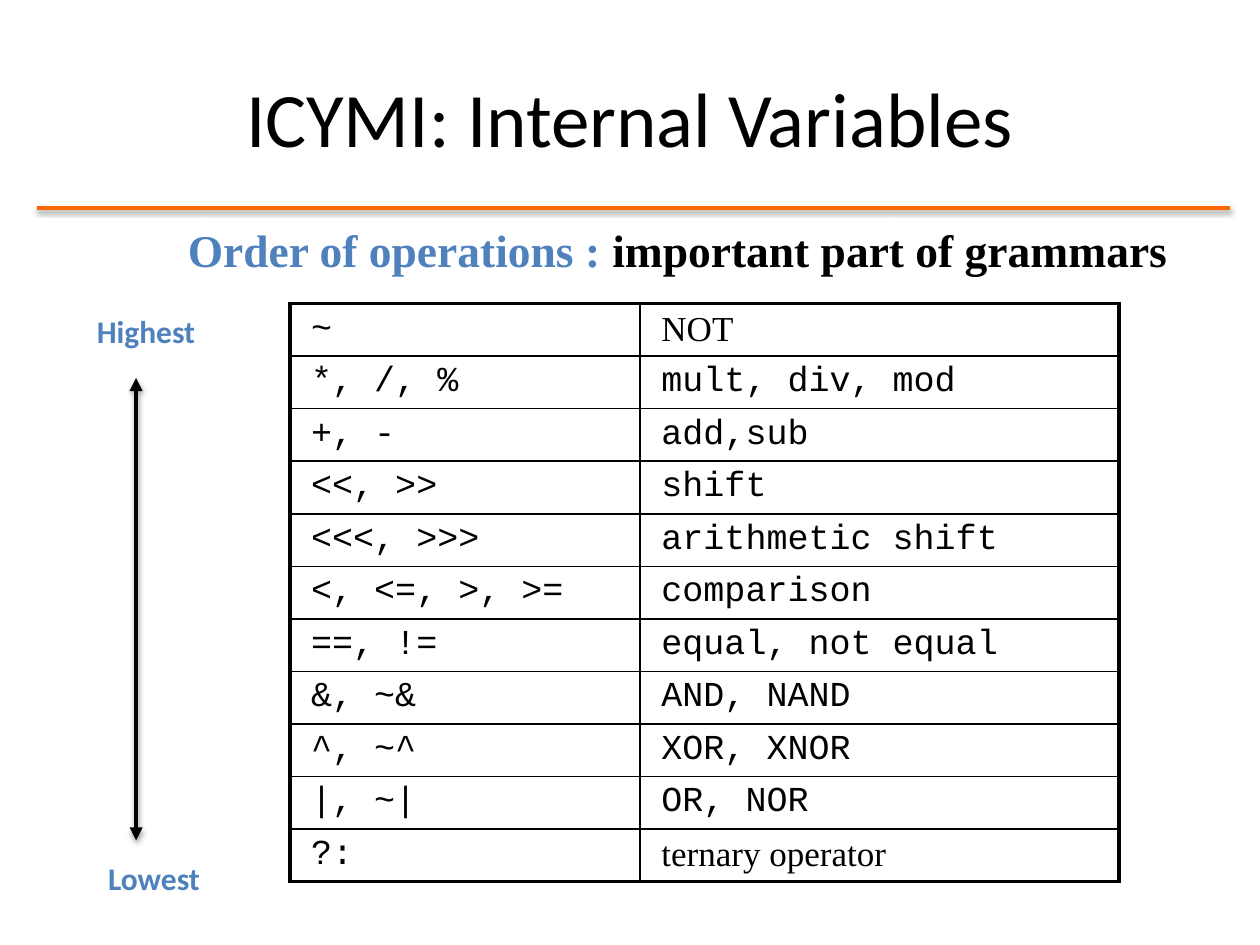
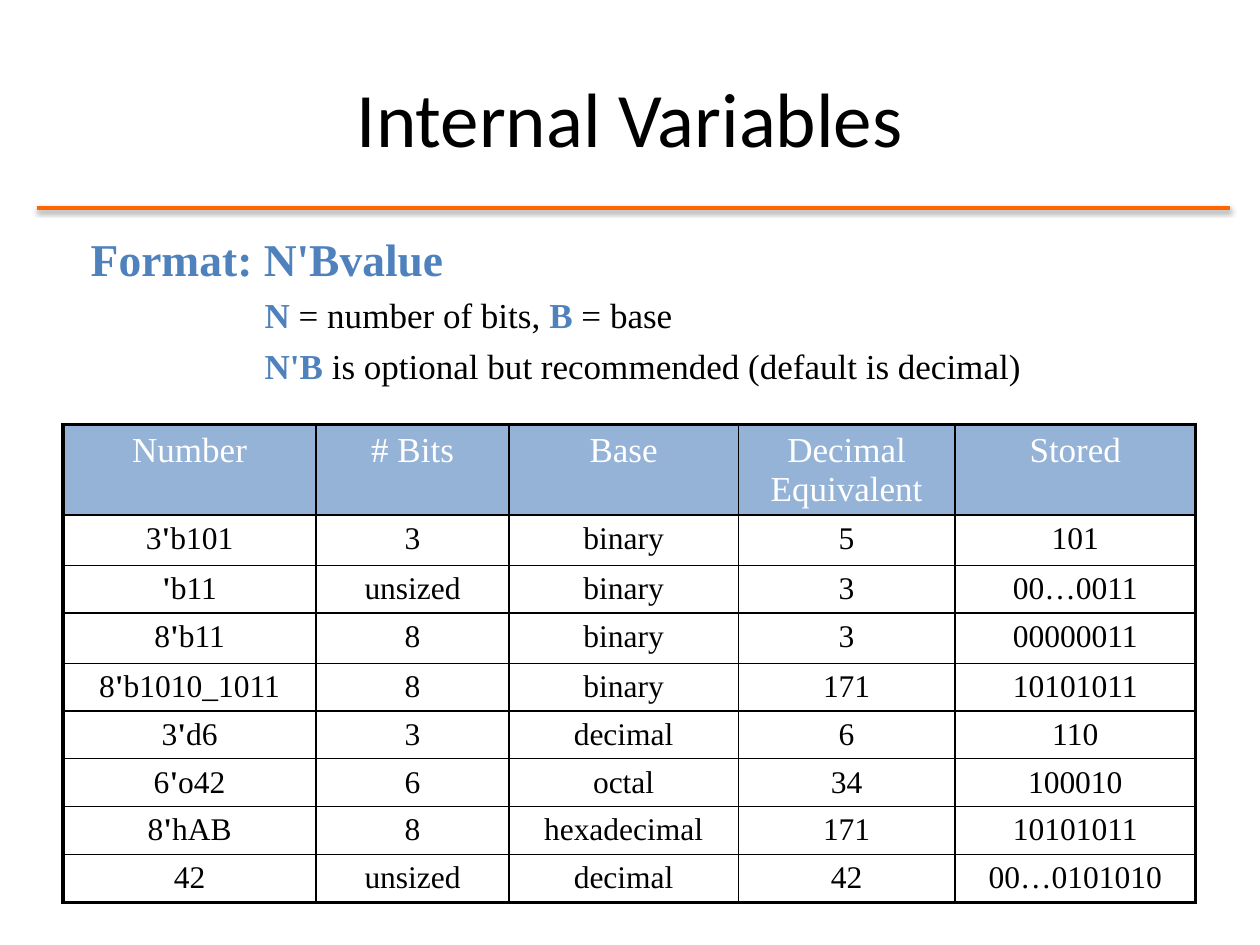
"""Build two slides on operator precedence and number formats."""
import pptx
import pptx.dml.color
import pptx.enum.shapes
import pptx.enum.text
import pptx.oxml
import pptx.oxml.ns
import pptx.util
from pptx.util import Inches

BLACK = pptx.dml.color.RGBColor(0x00, 0x00, 0x00)
WHITE = pptx.dml.color.RGBColor(0xFF, 0xFF, 0xFF)
ORANGE = pptx.dml.color.RGBColor(0xFF, 0x66, 0x00)
BLUE = pptx.dml.color.RGBColor(0x4F, 0x81, 0xBD)
HEADER_BLUE = pptx.dml.color.RGBColor(0x95, 0xB3, 0xD7)

SANS = "Calibri"
SERIF = "Times New Roman"
MONO = "Courier New"
THIN, THICK = 1, 2.25
CENTER = pptx.enum.text.PP_ALIGN.CENTER
LEFT = pptx.enum.text.PP_ALIGN.LEFT
NAMESPACE = pptx.oxml.ns.nsdecls("a")

OPERATORS = [
    ("~", "NOT"),
    ("*, /, %", "mult, div, mod"),
    ("+, -", "add,sub"),
    ("<<, >>", "shift"),
    ("<<<, >>>", "arithmetic shift"),
    ("<, <=, >, >=", "comparison"),
    ("==, !=", "equal, not equal"),
    ("&, ~&", "AND, NAND"),
    ("^, ~^", "XOR, XNOR"),
    ("|, ~|", "OR, NOR"),
    ("?:", "ternary operator"),
]
SERIF_OPERATOR_NAMES = ("NOT", "ternary operator")

NUMBERS = [
    ("Number", "# Bits", "Base", "Decimal Equivalent", "Stored"),
    ("3'b101", "3", "binary", "5", "101"),
    ("'b11", "unsized", "binary", "3", "00…0011"),
    ("8'b11", "8", "binary", "3", "00000011"),
    ("8'b1010_1011", "8", "binary", "171", "10101011"),
    ("3'd6", "3", "decimal", "6", "110"),
    ("6'o42", "6", "octal", "34", "100010"),
    ("8'hAB", "8", "hexadecimal", "171", "10101011"),
    ("42", "unsized", "decimal", "42", "00…0101010"),
]


def add_runs(paragraph, pieces, font_name, size):
    """Add (text, colour, bold) pieces to a paragraph."""
    for text, color, bold in pieces:
        run = paragraph.add_run()
        run.text = text
        run.font.name = font_name
        run.font.size = pptx.util.Pt(size)
        run.font.color.rgb = color
        run.font.bold = bold


def add_line(slide, start, end, color, width, arrows=False):
    """Draw a line with a soft shadow and optional arrowheads at both ends."""
    line = slide.shapes.add_connector(
        pptx.enum.shapes.MSO_CONNECTOR.STRAIGHT,
        *(Inches(length) for length in start + end))
    line.line.color.rgb = color
    line.line.width = pptx.util.Pt(width)
    if arrows:
        for end_name in ("headEnd", "tailEnd"):
            line.line._get_or_add_ln().append(pptx.oxml.parse_xml(
                f'<a:{end_name} {NAMESPACE} type="triangle"/>'))
    line.element.spPr.append(pptx.oxml.parse_xml(
        f'<a:effectLst {NAMESPACE}>'
        '<a:outerShdw blurRad="40000" dist="20000" dir="5400000" rotWithShape="0">'
        '<a:srgbClr val="000000"><a:alpha val="38000"/></a:srgbClr>'
        '</a:outerShdw></a:effectLst>'))


def add_titled_slide(presentation, title):
    """Add a slide with its title and the orange rule below it."""
    slide = presentation.slides.add_slide(presentation.slide_layouts[1])
    shape = slide.shapes.title
    shape.left, shape.top = Inches(0.5), Inches(0.3)
    shape.width, shape.height = Inches(9), Inches(1.25)
    shape.text_frame.vertical_anchor = pptx.enum.text.MSO_ANCHOR.MIDDLE
    paragraph = shape.text_frame.paragraphs[0]
    paragraph.alignment = CENTER
    add_runs(paragraph, [(title, BLACK, False)], SANS, 44)
    add_line(slide, (0.29, 1.65), (9.76, 1.65), ORANGE, 2)
    return slide


def fill_body(slide, box, lines, alignment=LEFT):
    """Place the body and write (pieces, size, indent) lines without bullets."""
    body = slide.placeholders[1]
    body.left, body.top, body.width, body.height = (Inches(length) for length in box)
    frame = body.text_frame
    frame.auto_size = pptx.enum.text.MSO_AUTO_SIZE.NONE
    for index, (pieces, size, indent) in enumerate(lines):
        paragraph = frame.add_paragraph() if index else frame.paragraphs[0]
        properties = paragraph._p.get_or_add_pPr()
        properties.set("marL", str(Inches(indent)))
        properties.set("indent", "0")
        properties.append(pptx.oxml.parse_xml(f"<a:buNone {NAMESPACE}/>"))
        paragraph.alignment = alignment
        paragraph.space_before = pptx.util.Pt(5 if index else 0)
        add_runs(paragraph, pieces, SERIF, size)


def add_label(slide, text, left, top, width):
    """Add a bold blue label."""
    label = slide.shapes.add_textbox(
        Inches(left), Inches(top), Inches(width), Inches(0.4))
    label.text_frame.word_wrap = True
    add_runs(label.text_frame.paragraphs[0], [(text, BLUE, True)], SANS, 18)


def set_borders(cell, widths):
    """Draw black borders, given as widths for left, right, top and bottom."""
    properties = cell._tc.get_or_add_tcPr()
    for side, width in zip("LRTB", widths):
        properties.append(pptx.oxml.parse_xml(
            f'<a:ln{side} {NAMESPACE} w="{pptx.util.Pt(width)}">'
            f'<a:solidFill><a:srgbClr val="{BLACK}"/></a:solidFill></a:ln{side}>'))


def add_grid(slide, left, top, column_widths, row_heights, side_margin):
    """Add a white table with thin inner and thick outer borders."""
    last_row, last_column = len(row_heights) - 1, len(column_widths) - 1
    table = slide.shapes.add_table(
        len(row_heights), len(column_widths), Inches(left), Inches(top),
        Inches(sum(column_widths)), Inches(sum(row_heights))).table
    table.first_row = table.horz_banding = False
    for column, width in zip(table.columns, column_widths):
        column.width = Inches(width)
    for row_index, (row, height) in enumerate(zip(table.rows, row_heights)):
        row.height = Inches(height)
        for column_index, cell in enumerate(row.cells):
            outer = (column_index == 0, column_index == last_column,
                     row_index == 0, row_index == last_row)
            set_borders(cell, [THICK if edge else THIN for edge in outer])
            cell.fill.solid()
            cell.fill.fore_color.rgb = WHITE
            cell.margin_left = cell.margin_right = Inches(side_margin)
            cell.margin_top = cell.margin_bottom = Inches(0.05)
    return table


def add_operator_table(slide):
    """Add the table of operators from highest to lowest precedence."""
    count = len(OPERATORS)
    table = add_grid(slide, 2.3, 2.41, [2.78, 3.8], [4.59 / count] * count, 0.17)
    for row, texts in zip(table.rows, OPERATORS):
        for cell, text in zip(row.cells, texts):
            font_name = SERIF if text in SERIF_OPERATOR_NAMES else MONO
            add_runs(cell.text_frame.paragraphs[0], [(text, BLACK, False)],
                     font_name, 20)


def add_number_table(slide):
    """Add the table of number formats, with each apostrophe in bold."""
    row_heights = [0.71, 0.4, 0.37, 0.4, 0.37] + [0.38] * 4
    table = add_grid(slide, 0.5, 3.37, [2.01, 1.53, 1.82, 1.72, 1.91],
                     row_heights, 0.11)
    for row_index, (row, texts) in enumerate(zip(table.rows, NUMBERS)):
        color, size = (BLACK, 18) if row_index else (WHITE, 20)
        for cell, text in zip(row.cells, texts):
            if row_index == 0:
                cell.fill.fore_color.rgb = HEADER_BLUE
            paragraph = cell.text_frame.paragraphs[0]
            paragraph.alignment = CENTER
            pieces = [(part, color, part == "'")
                      for part in text.partition("'") if part]
            add_runs(paragraph, pieces, SERIF, size)


def build_precedence_slide(presentation):
    """Build the slide on the order of operations."""
    slide = add_titled_slide(presentation, "ICYMI: Internal Variables")
    heading = [("Order of operations : ", BLUE, True),
               ("important part of grammars", BLACK, True)]
    fill_body(slide, (0.92, 1.71, 8.92, 0.54), [(heading, 26, 0)], CENTER)
    add_operator_table(slide)
    add_label(slide, "Highest", 0.67, 2.43, 1.12)
    add_label(slide, "Lowest", 0.76, 6.77, 1)
    add_line(slide, (1.08, 3), (1.08, 6.67), BLACK, 2.5, arrows=True)


def build_number_slide(presentation):
    """Build the slide on number formats."""
    slide = add_titled_slide(presentation, "Internal Variables")
    size_and_base = [("N", BLUE, True), (" = number of bits, ", BLACK, False),
                     ("B", BLUE, True), (" = base", BLACK, False)]
    default = [("N'B", BLUE, True),
               (" is optional but recommended (default is decimal)", BLACK, False)]
    fill_body(slide, (0.62, 1.78, 8.5, 1.37), [
        ([("Format: N'Bvalue", BLUE, True)], 26, 0),
        (size_and_base, 20, 1.38),
        (default, 20, 1.38),
    ])
    add_number_table(slide)


def main():
    """Build and save the presentation."""
    presentation = pptx.Presentation()
    presentation.slide_width, presentation.slide_height = Inches(10), Inches(7.5)
    build_precedence_slide(presentation)
    build_number_slide(presentation)
    presentation.save("out.pptx")


if __name__ == "__main__":
    main()
